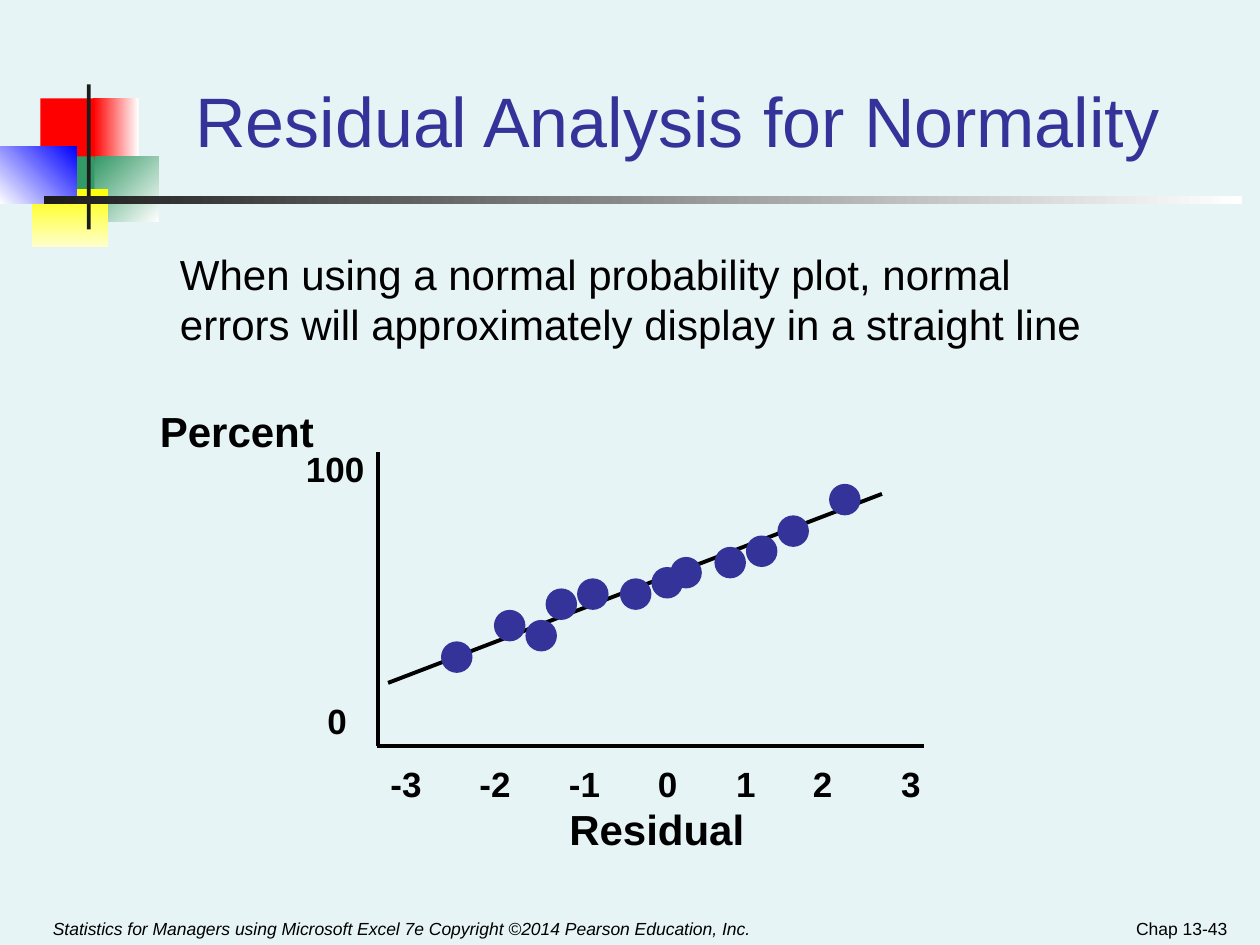
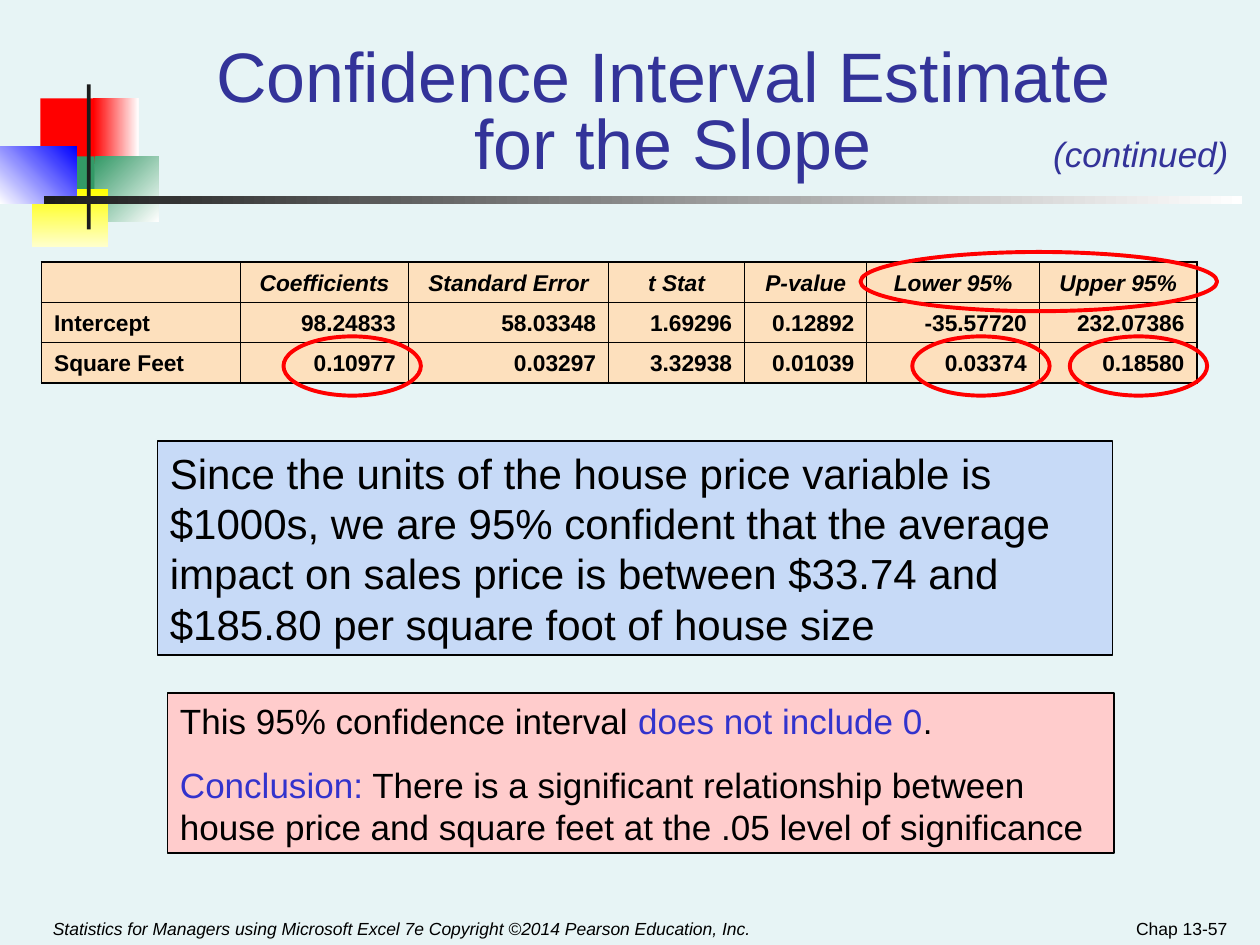
from dataclasses import dataclass
from typing import Any, NamedTuple, Optional

from lxml import etree
from pptx import Presentation
from pptx.dml.color import RGBColor
from pptx.enum.shapes import MSO_CONNECTOR, MSO_SHAPE
from pptx.enum.text import MSO_ANCHOR, MSO_AUTO_SIZE, PP_ALIGN
from pptx.oxml.ns import qn
from pptx.util import Inches, Pt

RECTANGLE, OVAL = MSO_SHAPE.RECTANGLE, MSO_SHAPE.OVAL
STRAIGHT = MSO_CONNECTOR.STRAIGHT
TOP, BOTTOM = MSO_ANCHOR.TOP, MSO_ANCHOR.BOTTOM
LEFT, CENTER, RIGHT = PP_ALIGN.LEFT, PP_ALIGN.CENTER, PP_ALIGN.RIGHT
NO_AUTOFIT = MSO_AUTO_SIZE.NONE

FONT = "Arial"
BLACK = RGBColor(0x00, 0x00, 0x00)
WHITE = RGBColor(0xFF, 0xFF, 0xFF)
PALE_CYAN = RGBColor(0xE7, 0xF4, 0xF5)
INDIGO = RGBColor(0x33, 0x33, 0x99)
ACCENT_BLUE = RGBColor(0x33, 0x33, 0xCC)
RED = RGBColor(0xFF, 0x00, 0x00)
GREEN = RGBColor(0x33, 0x99, 0x66)
YELLOW = RGBColor(0xFF, 0xFF, 0x00)
CREAM = RGBColor(0xFF, 0xFF, 0xCC)
BLUE = RGBColor(0x00, 0x00, 0xFF)
CHARCOAL = RGBColor(0x1C, 0x1C, 0x1C)
PEACH = RGBColor(0xFD, 0xE0, 0xBD)
LIGHT_BLUE = RGBColor(0xC7, 0xDA, 0xF7)
PINK = RGBColor(0xFF, 0xCC, 0xCC)

COPYRIGHT = ("Statistics for Managers using Microsoft Excel 7e "
             "Copyright ©2014 Pearson Education, Inc.")


class Area(NamedTuple):
    left: float
    top: float
    width: float
    height: float

    def lengths(self) -> list:
        return [Inches(value) for value in self]


class Span(NamedTuple):
    text: str
    color: RGBColor = BLACK


@dataclass(frozen=True)
class Style:
    size: float
    bold: bool = False
    italic: bool = False
    align: Any = LEFT
    anchor: Any = TOP
    wrap: bool = True
    side: float = 0.1
    line_spacing: Optional[float] = None
    space_before: float = 0


@dataclass(frozen=True)
class Block:
    area: Area
    start: RGBColor
    end: Optional[RGBColor] = None
    clockwise: int = 0


@dataclass(frozen=True)
class Label:
    area: Area
    text: str
    style: Style


TITLE = Style(40, align=CENTER, anchor=BOTTOM, side=0.09)
TIGHT_TITLE = Style(40, align=CENTER, anchor=BOTTOM, side=0.09, line_spacing=0.8)
FOOTER = Style(10, italic=True, anchor=BOTTOM, side=0.09)
CHAPTER = Style(10, align=RIGHT, anchor=BOTTOM, side=0.09)
CONTINUED = Style(20, italic=True, wrap=False)
STATEMENT = Style(24)
CONCLUSION = Style(20, space_before=12.5)
AXIS_TITLE = Style(24, bold=True)
CENTERED_AXIS_TITLE = Style(24, bold=True)
AXIS_VALUE = Style(20, bold=True)

MOTIF = [
    Block(Area(0.32, 0.78, 0.48, 0.52), RED),
    Block(Area(0.74, 0.78, 0.36, 0.52), RED, WHITE),
    Block(Area(0.75, 1.24, 0.51, 0.52), GREEN, WHITE, 45),
    Block(Area(0.43, 1.24, 0.32, 0.52), GREEN),
    Block(Area(0.25, 1.5, 0.61, 0.46), YELLOW, CREAM, 90),
    Block(Area(0, 1.16, 0.61, 0.46), WHITE, BLUE, 315),
    Block(Area(0.69, 0.67, 0.03, 1.15), CHARCOAL),
    Block(Area(0.35, 1.56, 9.51, 0.06), CHARCOAL, WHITE),
]

DOT_SIZE = 0.25
DOTS = [(3.5, 5.09), (3.92, 4.84), (4.17, 4.92), (4.33, 4.67), (4.58, 4.59),
        (4.92, 4.59), (5.17, 4.5), (5.32, 4.42), (5.67, 4.34), (5.92, 4.25),
        (6.17, 4.09), (6.58, 3.84)]
PLOT_LINES = [((3, 3.59), (3, 5.92), 2), ((2.99, 5.92), (7.33, 5.92), 2),
              ((3.08, 5.42), (7, 3.92), 2.25)]
PLOT_LABELS = [
    Label(Area(1.33, 1.92, 7.42, 0.9),
          "When using a normal probability plot, normal errors will "
          "approximately display in a straight line", STATEMENT),
    Label(Area(1.17, 3.17, 1.42, 0.5), "Percent", AXIS_TITLE),
    Label(Area(4.42, 6.33, 2.33, 0.5), "Residual", AXIS_TITLE),
    Label(Area(2.33, 3.5, 0.67, 0.43), "100", AXIS_VALUE),
    Label(Area(2.5, 5.5, 0.5, 0.43), "0", AXIS_VALUE),
]
RESIDUAL_TICKS = ["-3", "-2", "-1", "0", "1", "2", "3"]
TICK_CENTERS = [0.83, 1.54, 2.2, 2.82, 3.43, 4.13]

COLUMN_WIDTHS = [1.58, 1.33, 1.59, 1.08, 0.97, 1.37, 1.25]
ROW_HEIGHT = 0.32
REGRESSION = [
    ["", "Coefficients", "Standard Error", "t Stat", "P-value", "Lower 95%", "Upper 95%"],
    ["Intercept", "98.24833", "58.03348", "1.69296", "0.12892", "-35.57720", "232.07386"],
    ["Square Feet", "0.10977", "0.03297", "3.32938", "0.01039", "0.03374", "0.18580"],
]
HIGHLIGHTS = [Area(6.83, 2, 2.83, 0.47)] + [
    Area(left, 2.67, 1.09, 0.47) for left in (2.25, 7.24, 8.49)]


def apply(target: Any, values: dict) -> None:
    for name, value in values.items():
        setattr(target, name, value)


def write_paragraph(para: Any, spans: list, style: Style) -> None:
    apply(para, {"alignment": style.align, "line_spacing": style.line_spacing})
    for text, color in spans:
        for index, line in enumerate(text.split("\n")):
            if index:
                para.add_line_break()
            span = para.add_run()
            span.text = line
            apply(span.font, {"name": FONT, "size": Pt(style.size),
                              "bold": style.bold, "italic": style.italic})
            span.font.color.rgb = color


def write_text(box: Any, paragraphs: list, style: Style) -> None:
    frame = box.text_frame
    apply(frame, {"word_wrap": style.wrap, "auto_size": NO_AUTOFIT,
                  "vertical_anchor": style.anchor,
                  "margin_left": Inches(style.side), "margin_right": Inches(style.side),
                  "margin_top": Inches(0.05), "margin_bottom": Inches(0.05)})
    for index, spans in enumerate(paragraphs):
        para = frame.add_paragraph() if index else frame.paragraphs[0]
        write_paragraph(para, spans, style)
        if index:
            para.space_before = Pt(style.space_before)


def add_text(page: Any, area: Area, text: str, style: Style, color: RGBColor = BLACK) -> Any:
    box = page.shapes.add_textbox(*area.lengths())
    write_text(box, [[Span(text, color)]], style)
    return box


def add_shape(page: Any, kind: Any, area: Area, fill: Optional[RGBColor] = None,
              line: Optional[RGBColor] = None, weight: float = 1) -> Any:
    shape = page.shapes.add_shape(kind, *area.lengths())
    shape.shadow.inherit = False
    if fill is None:
        shape.fill.background()
    else:
        shape.fill.solid()
        shape.fill.fore_color.rgb = fill
    if line is None:
        shape.line.fill.background()
    else:
        shape.line.color.rgb = line
        shape.line.width = Pt(weight)
    return shape


def add_block(page: Any, block: Block) -> None:
    shape = add_shape(page, RECTANGLE, block.area, block.start)
    if block.end is not None:
        shape.fill.gradient()
        shape.fill.gradient_angle = -block.clockwise % 360
        for stop, color in zip(shape.fill.gradient_stops, (block.start, block.end)):
            stop.color.rgb = color


def add_line(page: Any, start: tuple, end: tuple, weight: float) -> None:
    points = [Inches(value) for value in (*start, *end)]
    line = page.shapes.add_connector(STRAIGHT, *points)
    line.line.color.rgb = BLACK
    line.line.width = Pt(weight)
    etree.SubElement(line._element.spPr, qn("a:effectLst"))


def add_page(deck: Any, title: str, area: Area, style: Style, number: int) -> Any:
    page = deck.slides.add_slide(deck.slide_layouts[5])
    for block in MOTIF:
        add_block(page, block)
    heading = page.shapes.title
    apply(heading, dict(zip(("left", "top", "width", "height"), area.lengths())))
    write_text(heading, [[Span(title, INDIGO)]], style)
    add_text(page, Area(0.33, 7.08, 5.83, 0.42), COPYRIGHT, FOOTER)
    add_text(page, Area(7.5, 7.15, 2.33, 0.35), f"Chap 13-{number}", CHAPTER)
    return page


def add_tick_labels(page: Any) -> None:
    box = add_text(page, Area(3, 6, 4.75, 0.43), "\t".join(RESIDUAL_TICKS), AXIS_VALUE)
    properties = box.text_frame.paragraphs[0]._p.get_or_add_pPr()
    tabs = etree.SubElement(properties, qn("a:tabLst"))
    for center in TICK_CENTERS:
        etree.SubElement(tabs, qn("a:tab"), pos=str(Inches(center)), algn="ctr")


def set_borders(cell: Any, weights: dict) -> None:
    properties = cell._tc.get_or_add_tcPr()
    for index, (side, weight) in enumerate(weights.items()):
        border = etree.Element(qn(f"a:ln{side}"), w=str(Pt(weight)))
        fill = etree.SubElement(border, qn("a:solidFill"))
        etree.SubElement(fill, qn("a:srgbClr"), val=str(BLACK))
        properties.insert(index, border)


def add_regression_table(page: Any) -> None:
    rows, columns = len(REGRESSION), len(COLUMN_WIDTHS)
    area = Area(0.33, 2.08, sum(COLUMN_WIDTHS), rows * ROW_HEIGHT)
    table = page.shapes.add_table(rows, columns, *area.lengths()).table
    apply(table, {"first_row": False, "horz_banding": False})
    for column, width in zip(table.columns, COLUMN_WIDTHS):
        column.width = Inches(width)
    for row_index, values in enumerate(REGRESSION):
        for column_index, value in enumerate(values):
            cell = table.cell(row_index, column_index)
            apply(cell, {"vertical_anchor": BOTTOM,
                         "margin_left": Inches(0.1), "margin_right": Inches(0.1),
                         "margin_top": Inches(0.05), "margin_bottom": Inches(0.05)})
            cell.fill.solid()
            cell.fill.fore_color.rgb = PEACH
            header = row_index == 0
            align = CENTER if header else RIGHT if column_index else LEFT
            para = cell.text_frame.paragraphs[0]
            if value:
                style = Style(13, bold=True, italic=header, align=align)
                write_paragraph(para, [Span(value)], style)
            else:
                etree.SubElement(para._p, qn("a:endParaRPr"), sz="1300")
            outer = {"L": column_index == 0, "R": column_index == columns - 1,
                     "T": header, "B": row_index == rows - 1}
            set_borders(cell, {side: 1.08 if edge else 0.45 for side, edge in outer.items()})


def build_normality_page(deck: Any) -> None:
    page = add_page(deck, "Residual Analysis for Normality",
                    Area(1.42, 0.25, 7.91, 1.08), TITLE, 43)
    for start, end, weight in PLOT_LINES:
        add_line(page, start, end, weight)
    for left, top in DOTS:
        add_shape(page, OVAL, Area(left, top, DOT_SIZE, DOT_SIZE), INDIGO)
    for label in PLOT_LABELS:
        add_text(page, label.area, label.text, label.style)
    add_tick_labels(page)


def build_slope_page(deck: Any) -> None:
    page = add_page(deck, "Confidence Interval Estimate \nfor the Slope",
                    Area(1.08, 0.33, 8.52, 1.17), TIGHT_TITLE, 57)
    add_text(page, Area(8.26, 1, 1.59, 0.44), "(continued)", CONTINUED, INDIGO)
    add_regression_table(page)
    for area in HIGHLIGHTS:
        add_shape(page, OVAL, area, line=RED, weight=2.25)
    impact = add_shape(page, RECTANGLE, Area(1.25, 3.5, 7.58, 1.7), LIGHT_BLUE, BLACK)
    write_text(impact, [[Span(
        "Since the units of the house price variable is $1000s, we are 95% confident "
        "that the average impact on sales price is between $33.74 and $185.80 per "
        "square foot of house size")]], STATEMENT)
    conclusion = add_shape(page, RECTANGLE, Area(1.33, 5.5, 7.51, 1.27), PINK, BLACK)
    write_text(conclusion, [
        [Span("This 95% confidence interval "), Span("does not include 0", ACCENT_BLUE), Span(".")],
        [Span("Conclusion:", ACCENT_BLUE),
         Span(" There is a significant relationship between house price and square feet "
              "at the .05 level of significance")],
    ], CONCLUSION)


def main() -> None:
    deck = Presentation()
    apply(deck, {"slide_width": Inches(10), "slide_height": Inches(7.5)})
    background = deck.slide_master.background.fill
    background.solid()
    background.fore_color.rgb = PALE_CYAN
    build_normality_page(deck)
    build_slope_page(deck)
    deck.save("out.pptx")


if __name__ == "__main__":
    main()
